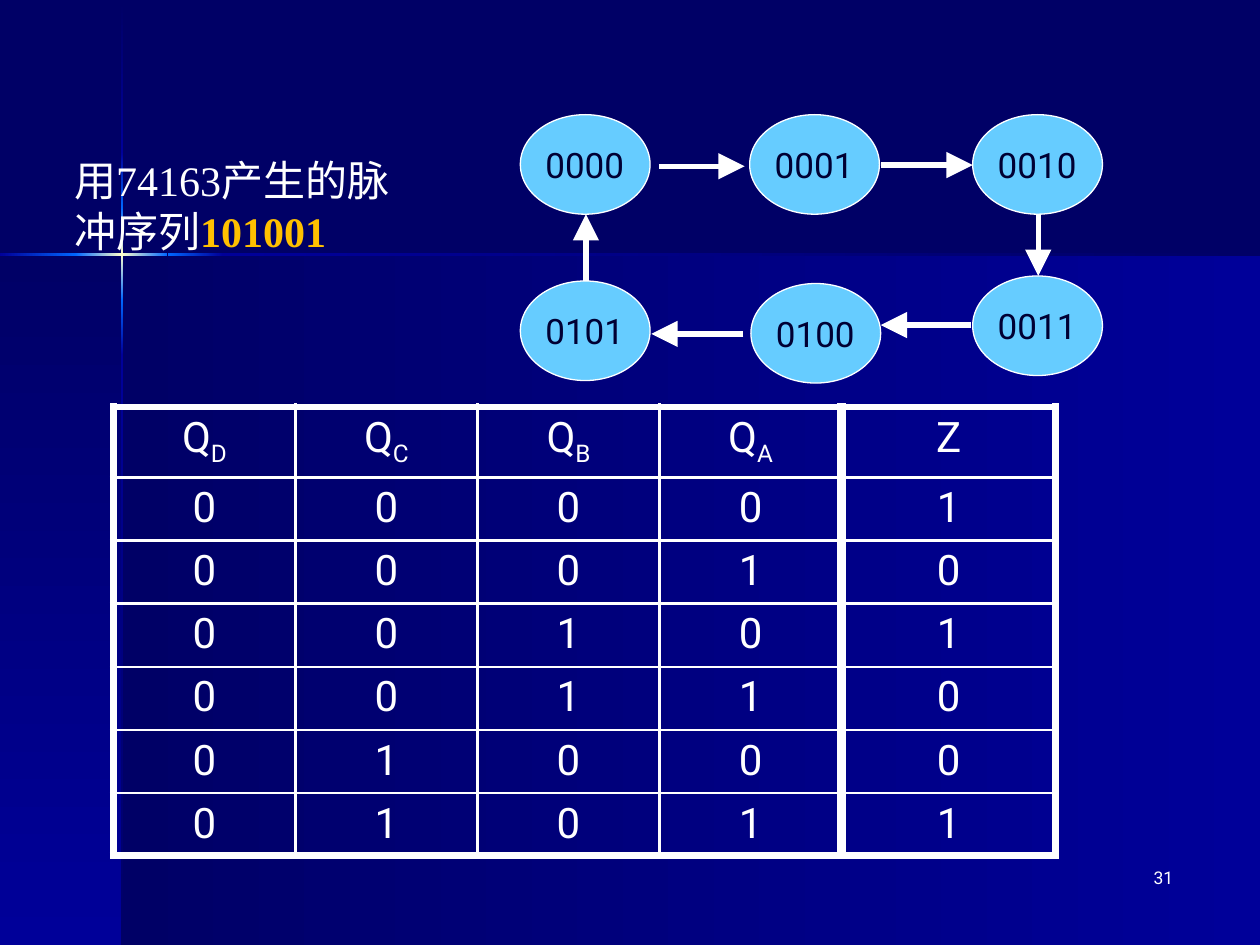
from copy import deepcopy

from lxml import etree
from pptx import Presentation
from pptx.dml.color import RGBColor
from pptx.enum.shapes import MSO_CONNECTOR, MSO_SHAPE
from pptx.enum.text import PP_ALIGN
from pptx.oxml.ns import qn
from pptx.util import Inches, Pt

RECTANGLE = MSO_SHAPE.RECTANGLE
OVAL = MSO_SHAPE.OVAL
STRAIGHT = MSO_CONNECTOR.STRAIGHT
LEFT, CENTER, RIGHT = PP_ALIGN.LEFT, PP_ALIGN.CENTER, PP_ALIGN.RIGHT

NAVY = RGBColor(0x00, 0x00, 0x66)
ROYAL = RGBColor(0x00, 0x00, 0x99)
AZURE = RGBColor(0x00, 0x66, 0xFF)
CREAM = RGBColor(0xFF, 0xFF, 0xCC)
SKY = RGBColor(0x66, 0xCC, 0xFF)
INK = RGBColor(0x00, 0x00, 0x33)
GOLD = RGBColor(0xFF, 0xC0, 0x00)
WHITE = RGBColor(0xFF, 0xFF, 0xFF)

SLIDE_WIDTH, SLIDE_HEIGHT = Inches(10), Inches(7.5)
GRID_COLUMNS, GRID_ROWS = 100, 75

TITLE = {"name": "Times New Roman", "size": Pt(24), "color": WHITE}
TITLE_SEQUENCE = {**TITLE, "color": GOLD, "bold": True}
STATE = {"name": "Roboto", "size": Pt(20), "color": INK}
TABLE_TEXT = {"name": "Roboto", "size": Pt(24), "color": WHITE}
PAGE_NUMBER = {**TABLE_TEXT, "size": Pt(10)}

BACKDROP = [
    (9.7, 20.2, 90.3, 54.8, 0, (NAVY, ROYAL)),
    (0, 20.2, 9.7, 54.8, 270, (NAVY, ROYAL)),
    (9.6, 0.1, 0.2, 12, 270, (NAVY, ROYAL)),
    (9.6, 28.2, 0.2, 46.8, 270, (ROYAL, NAVY)),
    (17.7, 20.1, 82.3, 0.2, 0, (ROYAL, NAVY)),
    (9.6, 23.8, 0.2, 4.4, 270, (AZURE, ROYAL)),
    (9.6, 12.1, 0.2, 4.4, 270, (ROYAL, AZURE)),
    (9.6, 16.5, 0.2, 7.3, 270, (AZURE, CREAM, AZURE)),
    (0, 20.1, 6.1, 0.2, 0, (ROYAL, AZURE)),
    (13.3, 20.1, 4.4, 0.2, 0, (AZURE, ROYAL)),
    (6, 20.1, 7.3, 0.2, 0, (AZURE, CREAM, AZURE)),
]
STATES = [
    ("0000", 41.3, 9.1), ("0001", 59.5, 9.1), ("0010", 77.2, 9.1),
    ("0011", 77.2, 21.9), ("0100", 59.6, 22.5), ("0101", 41.3, 22.3),
]
ARROWS = [
    (52.3, 13.2, 59.1, 13.2), (69.9, 13.1, 77.2, 13.1),
    (82.4, 17, 82.4, 21.9), (77.1, 25.8, 69.9, 25.8),
    (59, 26.5, 51.7, 26.5), (46.5, 22.3, 46.5, 17),
]
HEADINGS = [("Q", "D"), ("Q", "C"), ("Q", "B"), ("Q", "A"), ("Z", "")]
OUTPUTS = "101001"
COLUMN_WIDTHS = [14.45] * 4 + [17]
ROW_HEIGHTS = [5.6] + [5] * len(OUTPUTS)
THIN, FRAME, DIVIDER = Pt(1.5), Pt(4.5), Pt(6)


def across(columns):
    return round(SLIDE_WIDTH * columns / GRID_COLUMNS)


def down(rows):
    return round(SLIDE_HEIGHT * rows / GRID_ROWS)


def area(left, top, width, height):
    return across(left), down(top), across(width), down(height)


def add_run(paragraph, text, style):
    run = paragraph.add_run()
    run.text = text
    for attribute, value in style.items():
        if attribute == "color":
            run.font.color.rgb = value
        else:
            setattr(run.font, attribute, value)
    return run


def add_text(slide, box, runs, alignment=LEFT):
    frame = slide.shapes.add_textbox(*area(*box)).text_frame
    frame.word_wrap = True
    paragraph = frame.paragraphs[0]
    paragraph.alignment = alignment
    for text, style in runs:
        add_run(paragraph, text, style)


def add_gradient(slide, left, top, width, height, angle, colors):
    shape = slide.shapes.add_shape(RECTANGLE, *area(left, top, width, height))
    shape.shadow.inherit = False
    shape.line.fill.background()
    shape.fill.gradient()
    shape.fill.gradient_angle = angle
    stop_list = shape._element.spPr.find(".//" + qn("a:gsLst"))
    for _ in colors[2:]:
        stop_list.append(deepcopy(stop_list[-1]))
    for index, (stop, color) in enumerate(zip(shape.fill.gradient_stops, colors)):
        stop.position = index / (len(colors) - 1)
        stop.color.rgb = color


def add_state(slide, code, left, top):
    oval = slide.shapes.add_shape(OVAL, *area(left, top, 10.3, 7.9))
    oval.shadow.inherit = False
    oval.fill.solid()
    oval.fill.fore_color.rgb = SKY
    oval.line.color.rgb = WHITE
    oval.line.width = Pt(0.75)
    add_text(slide, (left + 1, top + 1.8, 9.2, 4.4), [(code, STATE)])


def add_arrow(slide, start_x, start_y, end_x, end_y):
    arrow = slide.shapes.add_connector(
        STRAIGHT, across(start_x), down(start_y), across(end_x), down(end_y))
    arrow.line.color.rgb = WHITE
    arrow.line.width = Pt(3)
    head = {"type": "triangle", "w": "lg", "len": "lg"}
    etree.SubElement(arrow.line._get_or_add_ln(), qn("a:tailEnd"), head)
    etree.SubElement(arrow._element.spPr, qn("a:effectLst"))


def add_border(cell, side, width):
    properties = cell._tc.get_or_add_tcPr()
    line = etree.SubElement(properties, qn("a:ln" + side), w=str(int(width)))
    fill = etree.SubElement(line, qn("a:solidFill"))
    etree.SubElement(fill, qn("a:srgbClr"), val=str(WHITE))


def format_cell(cell, row, column):
    last_row, last_column = len(ROW_HEIGHTS) - 1, len(COLUMN_WIDTHS) - 1
    vertical = {0: FRAME, last_column: DIVIDER, last_column + 1: FRAME}
    horizontal = {0: FRAME, last_row + 1: FRAME}
    add_border(cell, "L", vertical.get(column, THIN))
    add_border(cell, "R", vertical.get(column + 1, THIN))
    add_border(cell, "T", horizontal.get(row, THIN))
    add_border(cell, "B", horizontal.get(row + 1, THIN))
    cell.fill.background()


def add_truth_table(slide):
    contents = [HEADINGS]
    for count, output in enumerate(OUTPUTS):
        contents.append([(digit, "") for digit in f"{count:04b}{output}"])
    box = area(9, 32.3, sum(COLUMN_WIDTHS), sum(ROW_HEIGHTS))
    table = slide.shapes.add_table(len(contents), len(HEADINGS), *box).table
    table.first_row = table.horz_banding = False
    for column, width in zip(table.columns, COLUMN_WIDTHS):
        column.width = across(width)
    for row, height in zip(table.rows, ROW_HEIGHTS):
        row.height = down(height)
    for row, entries in enumerate(contents):
        for column, (text, subscript) in enumerate(entries):
            cell = table.cell(row, column)
            format_cell(cell, row, column)
            paragraph = cell.text_frame.paragraphs[0]
            paragraph.alignment = CENTER
            add_run(paragraph, text, TABLE_TEXT)
            if subscript:
                run = add_run(paragraph, subscript, TABLE_TEXT)
                run.font._element.set("baseline", "-25000")


def main():
    presentation = Presentation()
    presentation.slide_width = SLIDE_WIDTH
    presentation.slide_height = SLIDE_HEIGHT
    slide = presentation.slides.add_slide(presentation.slide_layouts[6])
    slide.background.fill.solid()
    slide.background.fill.fore_color.rgb = NAVY
    for band in BACKDROP:
        add_gradient(slide, *band)
    add_text(slide, (73.3, 68.3, 20.8, 5), [("31", PAGE_NUMBER)], RIGHT)
    for state in STATES:
        add_state(slide, *state)
    for arrow in ARROWS:
        add_arrow(slide, *arrow)
    add_text(slide, (4.9, 11.8, 29.4, 9.1),
             [("用74163产生的脉冲序列", TITLE), ("101001", TITLE_SEQUENCE)])
    add_truth_table(slide)
    presentation.save("out.pptx")


if __name__ == "__main__":
    main()
